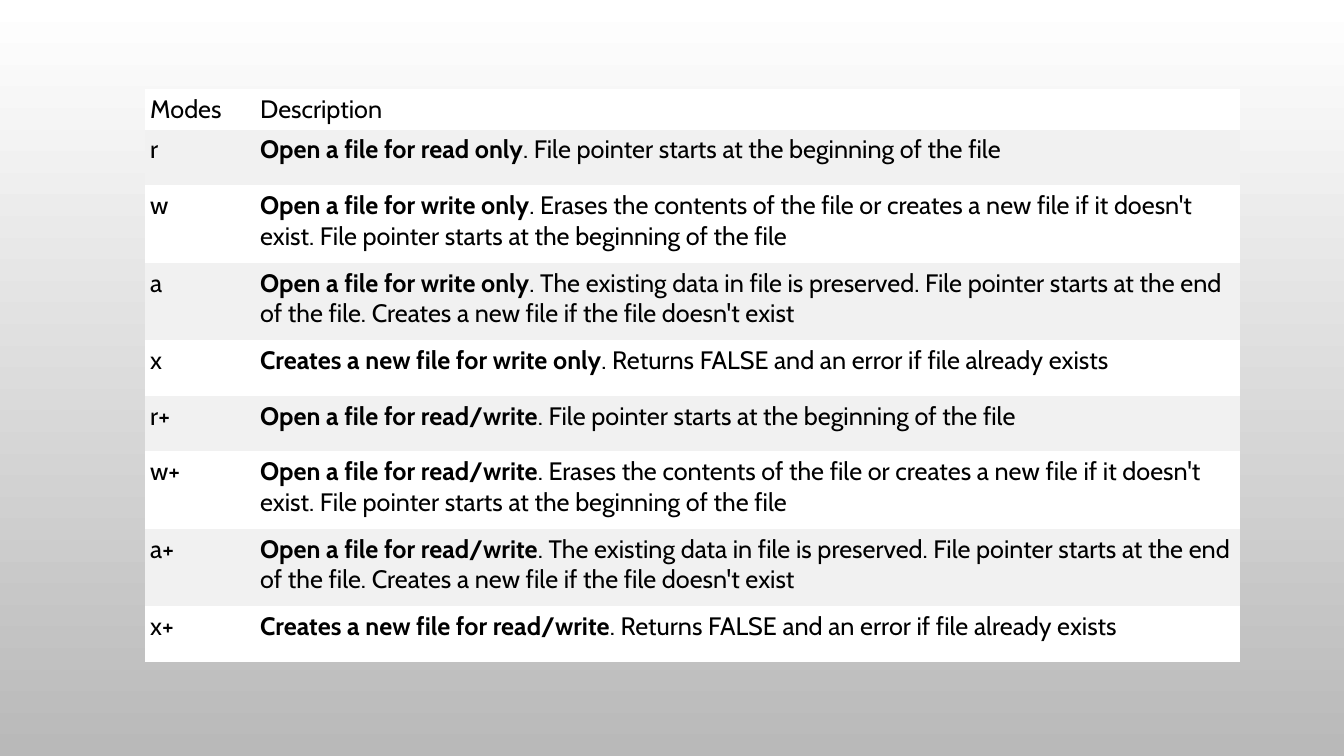
from pptx import Presentation
from pptx.dml.color import RGBColor
from pptx.util import Inches, Pt


def color(code):
    """Turn a hex string into a colour."""
    return RGBColor.from_string(code)


def write(cell, text, bold=False, size=18, font="Cabin", ink="000000"):
    """Add a formatted run to a cell's first paragraph."""
    run = cell.text_frame.paragraphs[0].add_run()
    run.text = text
    run.font.name = font
    run.font.size = Pt(size)
    run.font.bold = bold
    run.font.color.rgb = color(ink)


START = ". File pointer starts at the beginning of the file"
ERASE = ". Erases the contents of the file or creates a new file if it doesn't exist" + START
KEEP = (". The existing data in file is preserved. File pointer starts at the end"
        " of the file. Creates a new file if the file doesn't exist")
ERROR = ". Returns FALSE and an error if file already exists"

# Mode, bold lead, plain rest, row height
modes = [
    ("Modes", "", "Description", 0.34),
    ("r", "Open a file for read only", START, 0.55),
    ("w", "Open a file for write only", ERASE, 0.77),
    ("a", "Open a file for write only", KEEP, 0.77),
    ("x", "Creates a new file for write only", ERROR, 0.55),
    ("r+", "Open a file for read/write", START, 0.55),
    ("w+", "Open a file for read/write", ERASE, 0.77),
    ("a+", "Open a file for read/write", KEEP, 0.77),
    ("x+", "Creates a new file for read/write", ERROR, 0.55),
]
widths = [1.09, 9.77]
bands = ["FFFFFF", "F1F1F1"]

deck = Presentation()
deck.slide_width = Inches(13.33)
deck.slide_height = Inches(7.5)
slide = deck.slides.add_slide(deck.slide_layouts[6])

# Background fades from top to bottom
back = slide.background.fill
back.gradient()
back.gradient_angle = 270
for stop, place, shade in zip(back.gradient_stops, (0, 1), ("FFFFFF", "B9B9B9")):
    stop.position = place
    stop.color.rgb = color(shade)

# Table of file modes
height = sum(mode[3] for mode in modes)
table = slide.shapes.add_table(
    len(modes), len(widths), Inches(1.44), Inches(0.88),
    Inches(sum(widths)), Inches(height)).table
table.first_row = False
table.horz_banding = False
for col, width in zip(table.columns, widths):
    col.width = Inches(width)

for i, (mode, lead, rest, tall) in enumerate(modes):
    row = table.rows[i]
    row.height = Inches(tall)
    for cell in row.cells:
        cell.fill.solid()
        cell.fill.fore_color.rgb = color(bands[i % 2])
        cell.margin_left = cell.margin_right = Inches(0.05)
        cell.margin_top = cell.margin_bottom = Inches(0.05)
    write(row.cells[0], mode)
    if lead:
        write(row.cells[1], lead, bold=True)
    write(row.cells[1], rest)

# Plain table style without borders
style = table._tbl.tblPr.find(
    "{http://schemas.openxmlformats.org/drawingml/2006/main}tableStyleId")
style.text = "{2D5ABB26-0587-4C30-8999-92F81FD0307C}"

deck.save("out.pptx")
